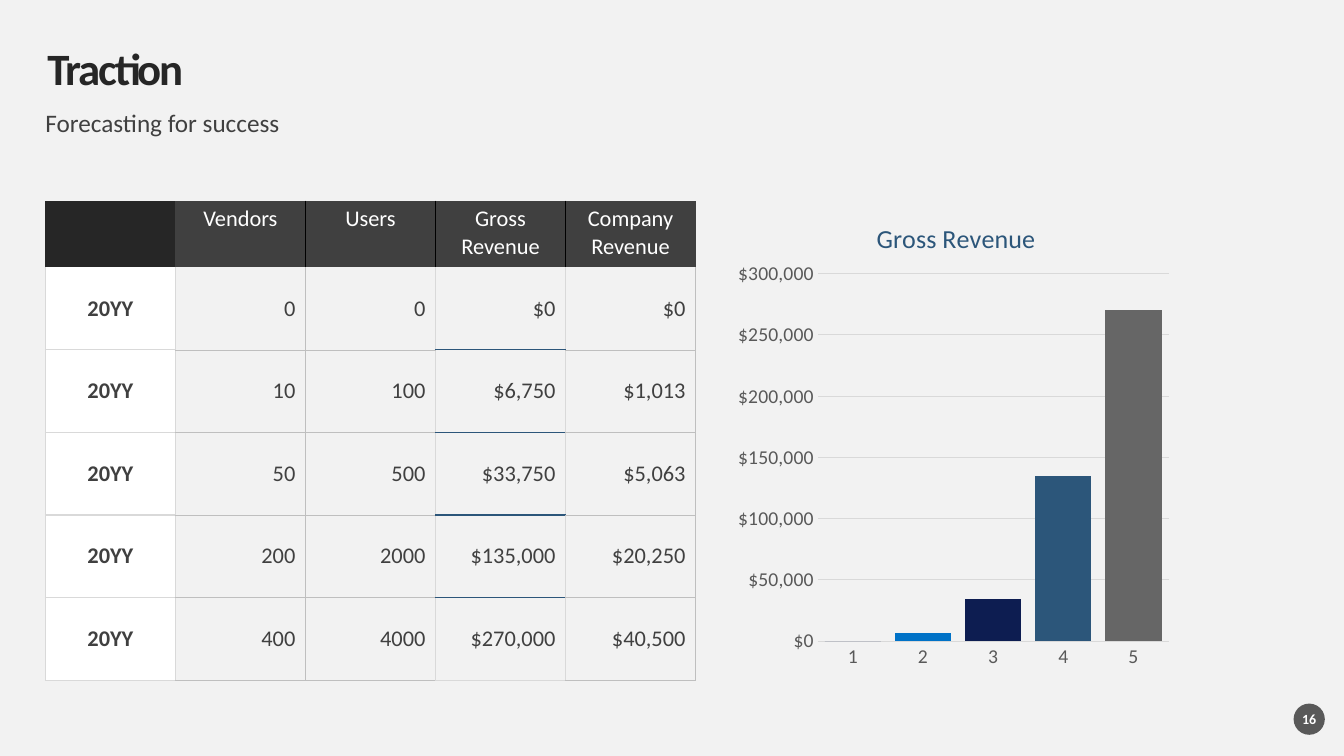
from dataclasses import dataclass

from lxml import etree
from pptx import Presentation, util as u
from pptx.chart.data import CategoryChartData
from pptx.dml.color import RGBColor
from pptx.enum import chart as ch, shapes, text
from pptx.oxml import ns

PX = 9144  # EMU per px, 100 px to the inch


@dataclass(frozen=True)
class Theme:
    font: str = "Calibri"
    back: str = "F2F2F2"
    ink: str = "262626"
    body: str = "404040"
    muted: str = "595959"
    white: str = "FFFFFF"
    black: str = "000000"
    rule: str = "D9D9D9"
    hairline: str = "BFBFBF"
    accent: str = "2C567A"
    navy: str = "0D1D51"
    blue: str = "0072C7"
    grey: str = "666666"
    title: float = 32
    subtitle: float = 18
    chart_title: float = 18.6
    cell: float = 16
    axis: float = 14
    badge: float = 10


class Deck:
    def __init__(self, theme, width, height):
        self.t = theme
        self.prs = Presentation()
        self.prs.slide_width, self.prs.slide_height = width * PX, height * PX
        self.s = self.prs.slides.add_slide(self.prs.slide_layouts[5])
        self.paint(self.s.background.fill, theme.back)

    def paint(self, fill, color):
        fill.solid()
        fill.fore_color.rgb = RGBColor.from_string(color)

    def style(self, font, size, color, bold=False):
        font.name, font.size, font.bold = self.t.font, u.Pt(size), bold
        font.color.rgb = RGBColor.from_string(color)

    def put_text(self, tf, words, size, color, bold=False, align=text.PP_ALIGN.LEFT):
        p = tf.paragraphs[0]
        p.text, p.alignment = words, align
        self.style(p.font, size, color, bold)
        return p

    def frame(self, tf, anchor):
        """Give a text frame no insets, wrapping and a vertical anchor."""
        tf.margin_left = tf.margin_top = tf.margin_right = tf.margin_bottom = 0
        tf.word_wrap, tf.vertical_anchor = True, anchor
        tf.auto_size = text.MSO_AUTO_SIZE.NONE
        return tf

    def title(self, words, x, y, w, h):
        sp = self.s.shapes.title
        sp.left, sp.top, sp.width, sp.height = (v * PX for v in (x, y, w, h))
        tf = self.frame(sp.text_frame, text.MSO_ANCHOR.MIDDLE)
        p = self.put_text(tf, words, self.t.title, self.t.ink, True)
        p.line_spacing = 0.9
        sp.element.xpath(".//a:defRPr")[0].set("spc", "-150")

    def label(self, words, x, y, w, h):
        sp = self.s.shapes.add_textbox(*(v * PX for v in (x, y, w, h)))
        tf = self.frame(sp.text_frame, text.MSO_ANCHOR.TOP)
        self.put_text(tf, words, self.t.subtitle, self.t.body).line_spacing = 0.9

    def badge(self, words, x, y, size):
        sp = self.s.shapes.add_shape(
            shapes.MSO_SHAPE.OVAL, x * PX, y * PX, size * PX, size * PX)
        sp.shadow.inherit = False
        self.paint(sp.fill, self.t.muted)
        sp.line.fill.background()
        tf = self.frame(sp.text_frame, text.MSO_ANCHOR.MIDDLE)
        self.put_text(tf, words, self.t.badge, self.t.white, True, text.PP_ALIGN.CENTER)

    def column_edge(self, row, i):
        """Colour and width of the vertical edge left of column i."""
        if row == 0:
            return (self.t.black, 1) if 2 <= i <= 4 else None
        return (self.t.hairline, 0.25) if i in (2, 5) else (self.t.rule, 1)

    def row_edge(self, i, col, last):
        """Colour and width of the horizontal edge above row i."""
        if i <= 1:
            return None
        if col == 3 and i < last:
            return self.t.accent, 1
        return (self.t.rule, 1) if col in (0, 3) else (self.t.hairline, 0.25)

    def borders(self, cell, edges):
        tc_pr = cell._tc.get_or_add_tcPr()
        for i, (side, edge) in enumerate(zip("LRTB", edges)):
            ln = etree.Element(ns.qn(f"a:ln{side}"))
            if edge:
                color, width = edge
                ln.set("w", str(u.Pt(width)))
                fill = etree.SubElement(ln, ns.qn("a:solidFill"))
                etree.SubElement(fill, ns.qn("a:srgbClr")).set("val", color)
            else:
                etree.SubElement(ln, ns.qn("a:noFill"))
            tc_pr.insert(i, ln)

    def cell(self, cell, words, row, col):
        t, al = self.t, text.PP_ALIGN
        if row == 0:
            self.paint(cell.fill, t.body if col else t.ink)
            self.put_text(cell.text_frame, words, t.cell, t.white, align=al.CENTER)
            return
        cell.vertical_anchor = text.MSO_ANCHOR.MIDDLE
        if col in (0, 3):
            self.paint(cell.fill, t.back if col else t.white)
        else:
            cell.fill.background()
        self.put_text(cell.text_frame, words, t.cell, t.body, col == 0,
                      al.RIGHT if col else al.CENTER)

    def table(self, rows, x, y, col_w, head_h, row_h):
        n, m = len(rows), len(rows[0])
        height = head_h + row_h * (n - 1)
        tbl = self.s.shapes.add_table(
            n, m, x * PX, y * PX, m * col_w * PX, height * PX).table
        tbl.horz_banding = False
        for column in tbl.columns:
            column.width = col_w * PX
        for r, words in enumerate(rows):
            tbl.rows[r].height = (row_h if r else head_h) * PX
            for c, word in enumerate(words):
                cell = tbl.cell(r, c)
                self.cell(cell, word, r, c)
                self.borders(cell, (
                    self.column_edge(r, c), self.column_edge(r, c + 1),
                    self.row_edge(r, c, n), self.row_edge(r + 1, c, n)))

    def place(self, parent, index, **layout):
        """Set a manual layout, in fractions of the chart area."""
        for old in parent.findall(ns.qn("c:layout")):
            parent.remove(old)
        box = etree.Element(ns.qn("c:layout"))
        parent.insert(index, box)
        manual = etree.SubElement(box, ns.qn("c:manualLayout"))
        for name, value in layout.items():
            etree.SubElement(manual, ns.qn(f"c:{name}")).set("val", str(value))

    def columns(self, heading, values, colors, x, y, w, h):
        t = self.t
        data = CategoryChartData()
        data.categories = [str(i + 1) for i in range(len(values))]
        data.add_series("Series 1", values)
        chart = self.s.shapes.add_chart(
            ch.XL_CHART_TYPE.COLUMN_CLUSTERED,
            *(v * PX for v in (x, y, w, h)), data).chart
        self.style(chart.font, t.axis, t.muted)
        chart.has_legend = False
        chart.has_title = True
        self.put_text(chart.chart_title.text_frame, heading, t.chart_title, t.accent,
                      align=text.PP_ALIGN.CENTER)
        self.place(chart.chart_title.element, 1,
                   xMode="edge", yMode="edge", x=0.32, y=0.05)
        self.place(chart.element.xpath(".//c:plotArea")[0], 0, layoutTarget="inner",
                   xMode="edge", yMode="edge", x=0.2, y=0.17, w=0.78, h=0.75)

        for axis in (chart.category_axis, chart.value_axis):
            axis.major_tick_mark = axis.minor_tick_mark = ch.XL_TICK_MARK.NONE
            self.style(axis.tick_labels.font, t.axis, t.muted)
        axis = chart.value_axis
        axis.minimum_scale, axis.maximum_scale, axis.major_unit = 0, 300000, 50000
        axis.tick_labels.number_format = "[$$-409]#,##0"
        axis.tick_labels.number_format_is_linked = False
        axis.format.line.fill.background()
        for line in (axis.major_gridlines.format.line, chart.category_axis.format.line):
            self.paint(line.fill, t.rule)
            line.width = u.Pt(0.75)

        plot = chart.plots[0]
        plot.gap_width, plot.vary_by_categories = 25, False
        series = plot.series[0]
        self.paint(series.format.fill, t.navy)
        for i, color in colors.items():
            self.paint(series.points[i].format.fill, color)


def main():
    t = Theme()
    deck = Deck(t, 1333, 750)
    deck.title("Traction", 47, 47, 1239, 47)
    deck.label("Forecasting for success", 45, 110, 1109, 28)
    deck.table([
        ("", "Vendors", "Users", "Gross Revenue", "Company Revenue"),
        ("20YY", "0", "0", "$0", "$0"),
        ("20YY", "10", "100", "$6,750", "$1,013"),
        ("20YY", "50", "500", "$33,750", "$5,063"),
        ("20YY", "200", "2000", "$135,000", "$20,250"),
        ("20YY", "400", "4000", "$270,000", "$40,500"),
    ], 45, 199, col_w=129, head_h=66, row_h=82)
    deck.columns("Gross Revenue", (0, 7000, 34000, 135000, 270000),
                 {1: t.blue, 3: t.accent, 4: t.grey}, 722, 189, 446, 486)
    deck.badge("16", 1283, 698, 31)
    deck.prs.save("out.pptx")


if __name__ == "__main__":
    main()
